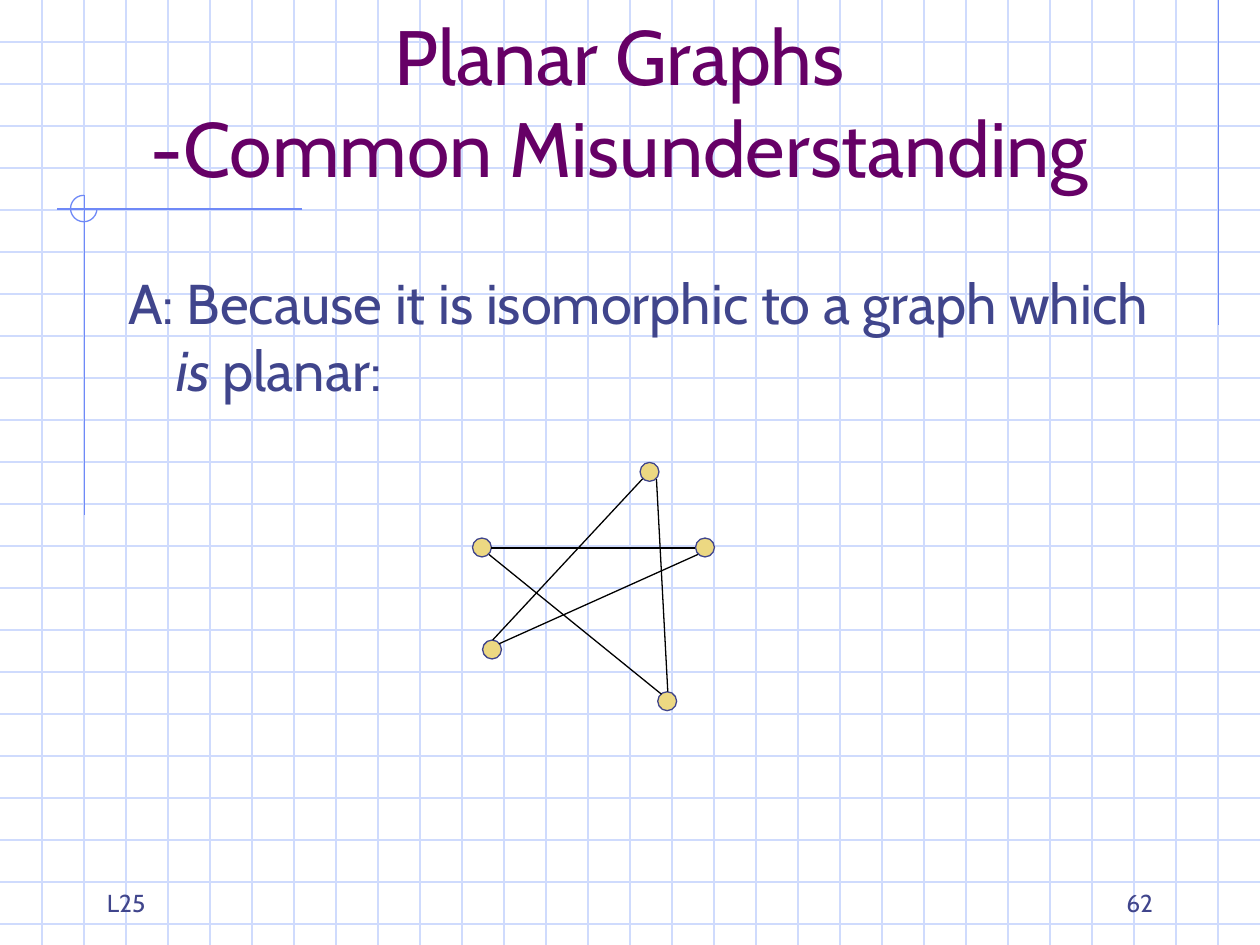
import pptx
import pptx.util
import pptx.dml.color
import pptx.enum.shapes
import pptx.enum.text
import pptx.oxml.ns
import lxml.etree

Inches = pptx.util.Inches
Pt = pptx.util.Pt
SHAPES = pptx.enum.shapes.MSO_SHAPE
ALIGN = pptx.enum.text.PP_ALIGN
ANCHOR = pptx.enum.text.MSO_ANCHOR

COLORS = {
    "grid": "CFDBFD",
    "accent": "6F89F7",
    "title": "660066",
    "body": "40458C",
    "vertex": "ECD882",
    "edge": "000000",
}
WIDTH, HEIGHT = 10, 7.5


def rgb(color):
    """Return the named palette colour."""
    return pptx.dml.color.RGBColor.from_string(COLORS[color])


def write(paragraph, text, *, size, color="body", italic=False, font="Cabin"):
    """Add text to a paragraph, with a line break at each newline."""
    for number, line in enumerate(text.split("\n")):
        if number:
            paragraph.add_line_break()
        run = paragraph.add_run()
        run.text = line
        run.font.name = font
        run.font.size = Pt(size)
        run.font.italic = italic
        run.font.color.rgb = rgb(color)


class GraphSlide:
    """Holds the line style and the current slide."""

    def __init__(self, slide, line_width=0.75):
        self.slide = slide
        self.line_width = Pt(line_width)

    def line(self, start, end, color):
        """Draw a straight line between two points."""
        connector = self.slide.shapes.add_connector(
            pptx.enum.shapes.MSO_CONNECTOR.STRAIGHT,
            *(Inches(value) for value in (*start, *end)))
        connector.line.color.rgb = rgb(color)
        connector.line.width = self.line_width
        properties = connector._element.spPr
        lxml.etree.SubElement(properties, pptx.oxml.ns.qn("a:effectLst"))

    def grid(self, step):
        """Rule the whole slide into squares."""
        for row in range(1, int(HEIGHT / step) + 1):
            self.line((0, row * step), (WIDTH, row * step), "grid")
        for column in range(1, round(WIDTH / step)):
            self.line((column * step, 0), (column * step, HEIGHT), "grid")

    def round_shape(self, kind, left, top, size, color, fill=None):
        """Draw an outlined round shape and return it."""
        shape = self.slide.shapes.add_shape(
            kind, Inches(left), Inches(top), Inches(size), Inches(size))
        shape.shadow.inherit = False
        shape.line.color.rgb = rgb(color)
        shape.line.width = self.line_width
        if fill:
            shape.fill.solid()
            shape.fill.fore_color.rgb = rgb(fill)
        else:
            shape.fill.background()
        return shape

    def text(self, left, top, width, height, anchor=ANCHOR.BOTTOM, align=ALIGN.LEFT):
        """Add a wrapping text box and return its paragraph."""
        frame = self.slide.shapes.add_textbox(
            Inches(left), Inches(top), Inches(width), Inches(height)).text_frame
        frame.word_wrap = True
        frame.vertical_anchor = anchor
        paragraph = frame.paragraphs[0]
        paragraph.alignment = align
        return paragraph


def main():
    """Build and save the slide."""
    deck = pptx.Presentation()
    deck.slide_width, deck.slide_height = Inches(WIDTH), Inches(HEIGHT)
    page = GraphSlide(deck.slides.add_slide(deck.slide_layouts[6]))

    page.grid(1 / 3)
    for start, end in (((9.67, 0), (9.67, 2.58)),
                       ((2.4, 1.66), (0.45, 1.66)),
                       ((0.67, 1.55), (0.67, 4.09))):
        page.line(start, end, "accent")
    corner_arc = page.round_shape(SHAPES.ARC, 0.56, 1.55, 0.21, "accent")
    corner_arc.adjustments[0] = 0
    corner_arc.adjustments[1] = 162

    title = page.text(0.67, 0.33, 8.5, 1.25, align=ALIGN.CENTER)
    write(title, "Planar Graphs\n-Common Misunderstanding", size=44, color="title")

    answer = page.text(0.92, 2.08, 8.5, 4.5, anchor=ANCHOR.TOP)
    indent = answer._p.get_or_add_pPr()
    indent.set("marL", str(Inches(0.38)))
    indent.set("indent", str(Inches(-0.38)))
    write(answer, "A: Because it is isomorphic to a graph which ", size=32)
    write(answer, "is", size=32, italic=True)
    write(answer, " planar:", size=32)

    for left, top in ((3.75, 4.27), (5.52, 4.27), (3.83, 5.08), (5.22, 5.49), (5.08, 3.67)):
        page.round_shape(SHAPES.OVAL, left, top, 0.15, "body", fill="vertex")
    for start, end in (((3.9, 4.35), (5.52, 4.35)),
                       ((3.96, 5.11), (5.54, 4.4)),
                       ((5.25, 5.51), (3.88, 4.4)),
                       ((5.1, 3.8), (3.91, 5.08)),
                       ((5.21, 3.8), (5.3, 5.49))):
        page.line(start, end, "edge")

    write(page.text(7.17, 6.83, 2.08, 0.5, align=ALIGN.RIGHT), "62", size=14)
    write(page.text(0.75, 6.83, 2.08, 0.5), "L25", size=14)

    deck.save("out.pptx")


if __name__ == "__main__":
    main()
